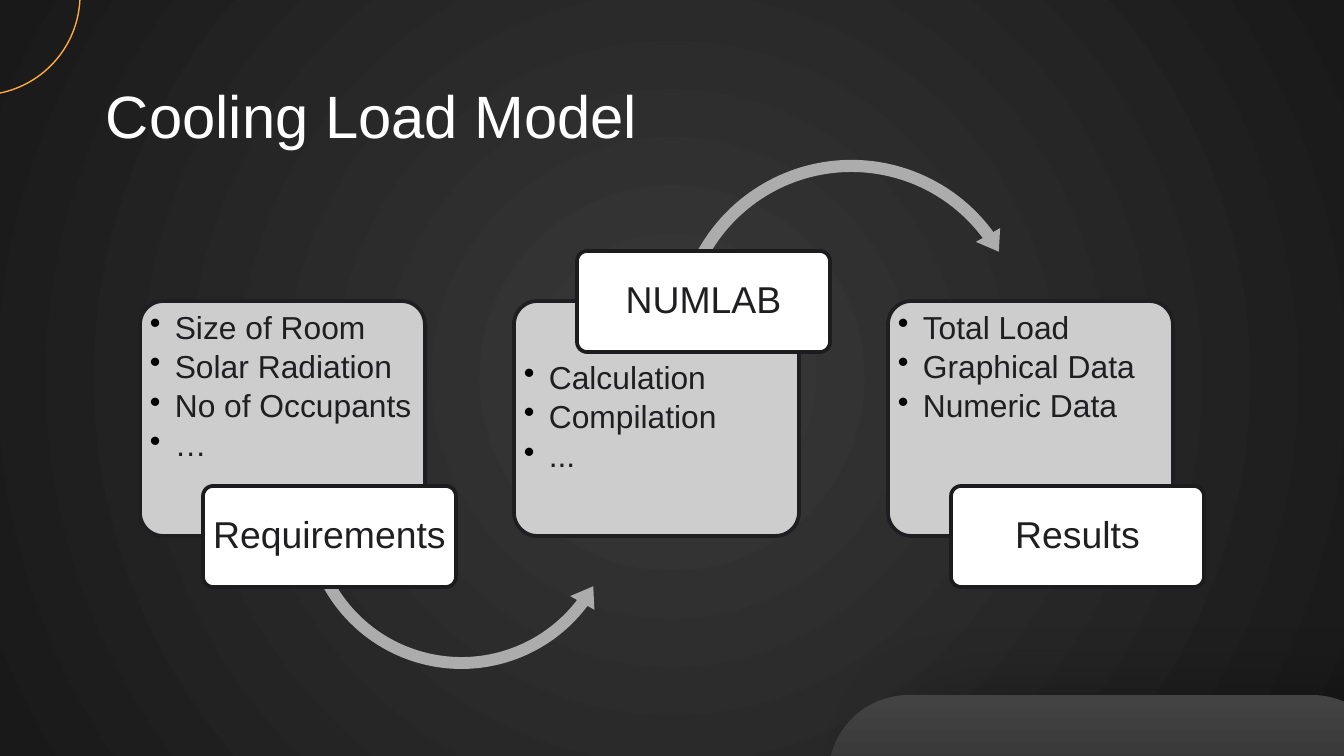
from lxml import etree
from pptx import Presentation
from pptx import util as u
from pptx.dml.color import RGBColor
from pptx.enum import shapes, text
from pptx.oxml import ns

EMU_PER_PX = 914400 / 134.4
FONT = "Arial"
WHITE = RGBColor(0xFF, 0xFF, 0xFF)
INK = RGBColor(0x1F, 0x1E, 0x20)
TAG_LINE = RGBColor(0x1C, 0x1B, 0x1D)
CARD_FILL = RGBColor(0xCD, 0xCD, 0xCD)
ARROW_FILL = RGBColor(0xAC, 0xAC, 0xAC)
ORANGE = RGBColor(0xFF, 0xAB, 0x40)
PAGE_CENTRE = RGBColor(0x39, 0x39, 0x39)
PAGE_EDGE = RGBColor(0x19, 0x19, 0x19)
PANEL_TOP = RGBColor(0x43, 0x43, 0x43)
PANEL_BOTTOM = RGBColor(0x23, 0x23, 0x23)

CARD_LEFT, CARD_TOP, CARD_PITCH = 140, 301, 374
CARD_SIZE = (285, 235)
TAG_SIZE = (253, 101)
TAG_SHIFT = 63
TAG_ABOVE, TAG_BELOW = -50, 185

# Tag name, tag offset from the card top, list items
STEPS = [
    ("Requirements", TAG_BELOW,
     ["Size of Room", "Solar Radiation", "No of Occupants", "…"]),
    ("NUMLAB", TAG_ABOVE, ["Calculation", "Compilation", "..."]),
    ("Results", TAG_BELOW, ["Total Load", "Graphical Data", "Numeric Data"]),
]
# Preset, left, top, side, adjustments; one arrow between neighbouring steps
ARROWS = [
    (shapes.MSO_SHAPE.LEFT_CIRCULAR_ARROW, 296, 346, 331,
     (0.036, 4.527, 22.282, 90.245, 0.042)),
    (shapes.MSO_SHAPE.CIRCULAR_ARROW, 668, 152, 367,
     (0.033, 4.043, 194.202, 125.755, 0.038)),
]


def px(length):
    return u.Emu(round(length * EMU_PER_PX))


def add_xml(parent, tag, **attributes):
    return etree.SubElement(parent, ns.qn(tag), attributes)


def set_gradient(fill, *colors):
    fill.gradient()
    for stop, color in zip(fill.gradient_stops, colors):
        stop.color.rgb = color


def set_background(page):
    """Fill the page with a gradient that spreads from its centre."""
    set_gradient(page.background.fill, PAGE_CENTRE, PAGE_EDGE)
    gradient = page.element.find(".//" + ns.qn("a:gradFill"))
    gradient.remove(gradient.find(ns.qn("a:lin")))
    radial = add_xml(gradient, "a:path", path="circle")
    add_xml(radial, "a:fillToRect", l="50000", t="50000", r="50000", b="50000")


def add_shape(page, preset, left, top, width, height, *,
              fill=None, line=None, line_width=2, adjustments=()):
    shape = page.shapes.add_shape(
        preset, px(left), px(top), px(width), px(height))
    shape.shadow.inherit = False
    for index, value in enumerate(adjustments):
        shape.adjustments[index] = value
    if fill is None:
        shape.fill.background()
    else:
        shape.fill.solid()
        shape.fill.fore_color.rgb = fill
    if line is None:
        shape.line.fill.background()
    else:
        shape.line.color.rgb = line
        shape.line.width = u.Pt(line_width)
    return shape


def add_bullet(para):
    properties = para._p.get_or_add_pPr()
    properties.set("marL", str(px(25)))
    properties.set("indent", str(-px(25)))
    color = add_xml(properties, "a:buClr")
    add_xml(color, "a:srgbClr", val="000000")
    add_xml(properties, "a:buChar", char="•")


def write_text(shape, lines, *, size, color=INK, align=text.PP_ALIGN.LEFT,
               anchor=text.MSO_ANCHOR.MIDDLE, insets=(0, 0, 0, 0),
               bullets=False, spacing=None, after=None):
    """Write one paragraph per line; insets are left, top, right, bottom."""
    frame = shape.text_frame
    frame.word_wrap = True
    frame.vertical_anchor = anchor
    (frame.margin_left, frame.margin_top,
     frame.margin_right, frame.margin_bottom) = map(px, insets)
    for index, line in enumerate(lines):
        para = frame.add_paragraph() if index else frame.paragraphs[0]
        para.alignment = align
        if spacing is not None:
            para.line_spacing = spacing
        if after is not None:
            para.space_after = u.Pt(after)
        if bullets:
            para.level = 1
            add_bullet(para)
        para.font.size = u.Pt(size)
        span = para.add_run()
        span.text = line
        span.font.name = FONT
        span.font.size = u.Pt(size)
        span.font.color.rgb = color


def add_decoration(page):
    panel = add_shape(page, shapes.MSO_SHAPE.ROUNDED_RECTANGLE,
                      829, 695, 563, 187, adjustments=[0.427])
    set_gradient(panel.fill, PANEL_TOP, PANEL_BOTTOM)
    panel.fill.gradient_angle = 270
    effects = panel._element.spPr.find(ns.qn("a:effectLst"))
    shadow = add_xml(effects, "a:outerShdw", blurRad=str(u.Pt(50)),
                     dist=str(u.Pt(39.4)), dir="672000")
    color = add_xml(shadow, "a:srgbClr", val="000000")
    add_xml(color, "a:alpha", val="40000")
    add_shape(page, shapes.MSO_SHAPE.OVAL, -120, -105, 200, 200,
              line=ORANGE, line_width=0.75)


def add_title(page, title):
    box = page.shapes.add_textbox(px(106), px(77), px(1133), px(75))
    write_text(box, [title], size=32, color=WHITE)


def add_card(page, left, items, tag_offset):
    card = add_shape(page, shapes.MSO_SHAPE.ROUNDED_RECTANGLE,
                     left, CARD_TOP, *CARD_SIZE,
                     fill=CARD_FILL, line=INK, adjustments=[0.1])
    insets = (3, 54, 4, 4) if tag_offset < 0 else (3, 4, 4, 54)
    write_text(card, items, size=17, anchor=text.MSO_ANCHOR.TOP,
               insets=insets, bullets=True, spacing=0.9, after=2.6)


def add_tag(page, left, top, name):
    tag = add_shape(page, shapes.MSO_SHAPE.ROUNDED_RECTANGLE,
                    left, top, *TAG_SIZE,
                    fill=WHITE, line=TAG_LINE, adjustments=[0.1])
    write_text(tag, [name], size=20, align=text.PP_ALIGN.CENTER,
               insets=(5, 4, 5, 4), spacing=0.9)


def main():
    deck = Presentation()
    deck.slide_width, deck.slide_height = px(1344), px(756)
    page = deck.slides.add_slide(deck.slide_layouts[6])
    set_background(page)
    add_decoration(page)
    add_title(page, "Cooling Load Model")
    for index, (name, tag_offset, items) in enumerate(STEPS):
        left = CARD_LEFT + index * CARD_PITCH
        add_card(page, left, items, tag_offset)
        if index < len(ARROWS):
            preset, arrow_left, arrow_top, side, adjustments = ARROWS[index]
            add_shape(page, preset, arrow_left, arrow_top, side, side,
                      fill=ARROW_FILL, adjustments=adjustments)
        add_tag(page, left + TAG_SHIFT, CARD_TOP + tag_offset, name)
    deck.save("out.pptx")


if __name__ == "__main__":
    main()
